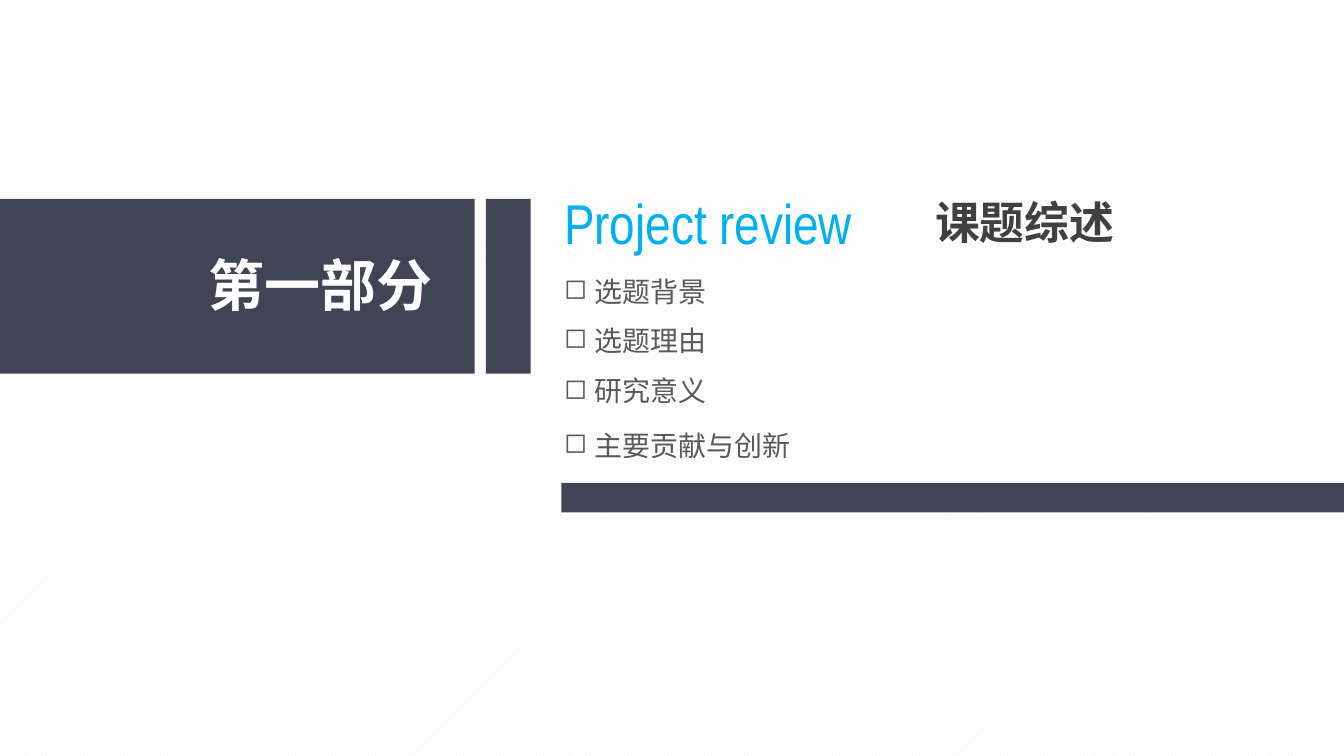
from dataclasses import dataclass

from lxml.etree import SubElement
from pptx import Presentation
from pptx.dml.color import RGBColor
from pptx.enum.dml import MSO_PATTERN
from pptx.enum.shapes import MSO_SHAPE
from pptx.enum.text import MSO_ANCHOR, MSO_AUTO_SIZE, PP_ALIGN
from pptx.oxml.ns import qn
from pptx.shapes.autoshape import Shape
from pptx.slide import Slide
from pptx.util import Emu, Pt

NAVY = RGBColor(0x41, 0x44, 0x55)
SKY = RGBColor(0x00, 0xB0, 0xF0)
WHITE = RGBColor(0xFF, 0xFF, 0xFF)
PALE = RGBColor(0xF2, 0xF2, 0xF2)
CHARCOAL = RGBColor(0x40, 0x40, 0x40)
GREY = RGBColor(0x59, 0x59, 0x59)
CHINESE = "Noto Sans CJK SC"
ENGLISH = "Arial Narrow"
TOPIC_INDENT = 22


@dataclass(frozen=True)
class Area:
    left: int
    top: int
    width: int
    height: int


@dataclass(frozen=True)
class Label:
    text: str
    area: Area
    size: int
    color: RGBColor
    font: str = CHINESE
    bold: bool = False
    bullet: str = ""


def px(length: int) -> Emu:
    """Turn pixels, 96 to the inch, into EMU."""
    return Emu(length * 9525)


def place(shape: Shape, area: Area) -> None:
    """Move and size a shape."""
    shape.left, shape.top = px(area.left), px(area.top)
    shape.width, shape.height = px(area.width), px(area.height)


def add_block(slide: Slide, area: Area) -> None:
    """Draw a plain navy rectangle."""
    block = slide.shapes.add_shape(MSO_SHAPE.RECTANGLE, 0, 0, 0, 0)
    place(block, area)
    block.shadow.inherit = False
    block.fill.solid()
    block.fill.fore_color.rgb = NAVY
    block.line.fill.background()


def write_label(box: Shape, label: Label) -> None:
    """Place a text shape and fill it with one formatted line."""
    place(box, label.area)
    frame = box.text_frame
    frame.text = label.text
    frame.word_wrap = False
    frame.auto_size = MSO_AUTO_SIZE.SHAPE_TO_FIT_TEXT
    frame.vertical_anchor = MSO_ANCHOR.TOP
    frame.margin_left = frame.margin_right = px(7)
    frame.margin_top = frame.margin_bottom = px(4)
    para = frame.paragraphs[0]
    para.alignment = PP_ALIGN.LEFT
    if label.bullet:
        properties = para._p.get_or_add_pPr()
        properties.set("marL", str(px(TOPIC_INDENT)))
        properties.set("indent", str(-px(TOPIC_INDENT)))
        SubElement(properties, qn("a:buChar")).set("char", label.bullet)
    span = para.runs[0]
    span.font.size = Pt(label.size)
    span.font.bold = label.bold
    span.font.color.rgb = label.color
    span.font.name = label.font
    SubElement(span._r.get_or_add_rPr(), qn("a:ea")).set("typeface", label.font)


def add_label(slide: Slide, label: Label) -> None:
    """Add a text box holding one label."""
    write_label(slide.shapes.add_textbox(0, 0, 0, 0), label)


def add_topic(slide: Slide, text: str, top: int) -> None:
    """Add a bulleted topic whose box fits its characters."""
    area = Area(396, top, 20 * len(text) + 38, 32)
    add_label(slide, Label(text, area, 15, GREY, bullet="◻"))


def main() -> None:
    """Build the section slide and save it."""
    deck = Presentation()
    deck.slide_width, deck.slide_height = px(960), px(540)
    page = deck.slides.add_slide(deck.slide_layouts[5])
    backdrop = page.background.fill
    backdrop.patterned()
    backdrop.pattern = MSO_PATTERN.LIGHT_UPWARD_DIAGONAL
    backdrop.fore_color.rgb = PALE
    backdrop.back_color.rgb = WHITE

    title = Label("课题综述", Area(661, 135, 144, 46), 24, CHARCOAL, bold=True)
    write_label(page.shapes.title, title)

    blocks = [Area(0, 142, 339, 125), Area(347, 142, 32, 125), Area(401, 345, 559, 21)]
    for block in blocks:
        add_block(page, block)

    add_label(page, Label("第一部分", Area(142, 175, 177, 56), 30, WHITE, bold=True))
    add_label(page, Label("Project review", Area(396, 131, 252, 56), 30, SKY, ENGLISH))

    topics = {"选题背景": 192, "选题理由": 227, "研究意义": 263, "主要贡献与创新": 302}
    for text, top in topics.items():
        add_topic(page, text, top)

    deck.save("out.pptx")


if __name__ == "__main__":
    main()
